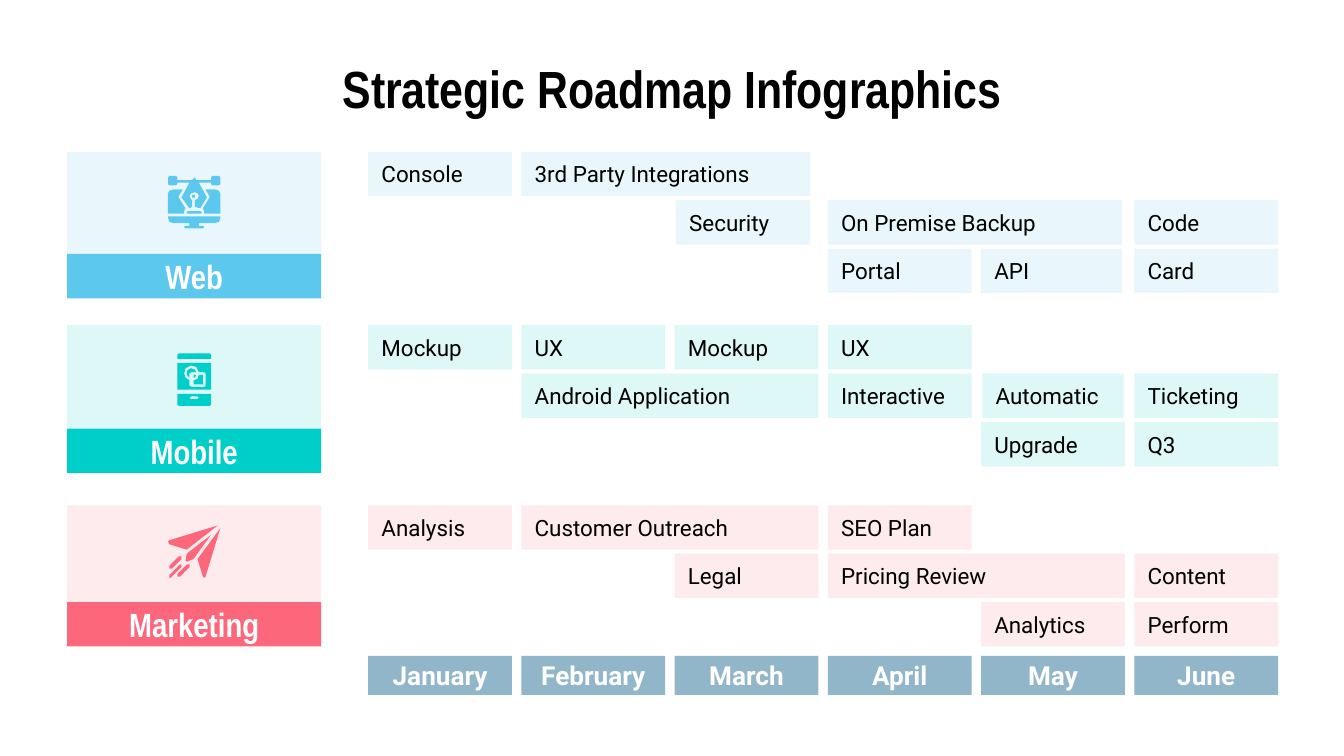
from lxml import etree
from pptx import Presentation
from pptx.dml.color import RGBColor
from pptx.enum import shapes, text
from pptx.oxml.ns import qn
from pptx.util import Inches, Pt

HUES = {"web": "5CC8EE", "mobile": "00CEC8", "market": "FD677B",
        "month": "92B6C9", "ink": "000000", "white": "FFFFFF"}
HEAD, BODY = "Arial Narrow", "Roboto"
TITLE = "Strategic Roadmap Infographics"
MONTHS = ["January", "February", "March", "April", "May", "June"]

# Tasks: label, row, first month, months covered, then trims at left and right
LANES = [
    {"name": "Web", "hue": "web", "top": 1.13, "panel": 0.76, "icon": 1.31, "tasks": [
        ("Console", 0, 0, 1), ("3rd Party Integrations", 0, 1, 2, 0, 0.06),
        ("Security", 1, 2, 1, 0.01, 0.06), ("On Premise Backup", 1, 3, 2, 0, 0.02),
        ("Code", 1, 5, 1), ("Portal", 2, 3, 1), ("API", 2, 4, 1, 0, 0.02),
        ("Card", 2, 5, 1)]},
    {"name": "Mobile", "hue": "mobile", "top": 2.42, "panel": 0.77, "icon": 2.63, "tasks": [
        ("Mockup", 0, 0, 1), ("UX", 0, 1, 1), ("Mockup", 0, 2, 1), ("UX", 0, 3, 1),
        ("Android Application", 1, 1, 2), ("Interactive", 1, 3, 1),
        ("Automatic", 1, 4, 1, 0.01, 0.01), ("Ticketing", 1, 5, 1),
        ("Upgrade", 2, 4, 1), ("Q3", 2, 5, 1)]},
    {"name": "Marketing", "hue": "market", "top": 3.76, "panel": 0.72, "icon": 3.91, "tasks": [
        ("Analysis", 0, 0, 1), ("Customer Outreach", 0, 1, 2), ("SEO Plan", 0, 3, 1),
        ("Legal", 1, 2, 1), ("Pricing Review", 1, 3, 2), ("Content", 1, 5, 1),
        ("Analytics", 2, 4, 1), ("Perform", 2, 5, 1)]},
]

SIZE = 39  # icon side, in hundredths of an inch


def flip(pts):
    return [(SIZE - x, y) for x, y in reversed(pts)]


def twin(half):
    """Close a left half with its mirror image."""
    return half + flip(half)


def shift(pts, dx, dy):
    return [(x + dx, y + dy) for x, y in pts]


pen = twin([(19.5, 1), (18, 3), (7, 3), (7, 1), (6, 0), (1, 0), (0, 1), (0, 6),
            (1, 7), (6, 7), (7, 6), (7, 5), (16, 5), (10, 15.5), (15.5, 23.5),
            (18.5, 23), (18.5, 18), (17, 17), (16, 15), (17, 13), (19.5, 12)])
nib = twin([(19.5, 14), (18.5, 14.5), (18.5, 15.5), (19.5, 16)])
collar = twin([(15, 26), (14, 27), (14, 28)])
screen = [(4, 10), (1, 11), (0, 13), (0, 28), (12, 28), (12, 26), (13, 24),
          (8, 16), (8, 15), (11, 10)]
stand = twin([(0, 30), (0, 31), (1, 34), (4, 35), (16, 35), (16, 37), (13, 37),
              (12, 38), (13, 39)])

ear = twin([(8, 0), (7, 1), (7, 4)])
glass = twin([(7, 7), (7, 27)])
cut = [(17, 9), (21, 10), (23, 14), (27, 14), (28, 15), (28, 24), (27, 25),
       (18, 25), (16, 24), (16, 20), (13, 18), (12, 15), (13, 11)]
disc = [(17, 11), (14, 13), (14, 16), (16, 18), (16, 15), (17, 14), (21, 14), (20, 12)]
lens = [(19, 16), (21, 16), (20.5, 17.5), (19, 18)]
tile = [(23, 16), (22, 19), (19, 20), (19, 23), (26, 23), (26, 16)]
foot = twin([(7, 30), (7, 38), (8, 39)])
key = twin([(17, 32), (16, 33), (17, 34)])

wing = [(37, 0), (1, 11), (0, 12), (1, 14), (14, 18)]
fold = [(32, 7), (14, 21), (13, 26), (14, 27), (19, 25)]
tail = [(39, 2), (22, 25), (26, 38), (27, 39), (28, 38)]
trail = [(9, 23), (8, 23), (1, 30), (1, 32), (3, 32), (10, 25), (10, 23)]
streak = [(9, 29), (1, 37), (1, 39), (2, 39), (10, 31), (10, 29)]

# Each icon part is a list of contours; a second contour is a hole
ICONS = {
    "web": [[pen], [nib], [collar], [screen], [flip(screen)], [stand]],
    "mobile": [[ear], [glass, cut], [disc], [lens], [tile], [foot, key]],
    "market": [[wing], [fold], [tail], [trail], [shift(trail, 6, 6)], [streak]],
}

SIDE, SIDE_W, ICON_X = 0.5, 1.89, 1.25
GRID, CELL, STEP = 2.74, 1.07, 1.14
ROW, BAR = 0.36, 0.33


def paint(shape, hue, alpha=None):
    shape.shadow.inherit = False
    shape.line.fill.background()
    shape.fill.solid()
    shape.fill.fore_color.rgb = RGBColor.from_string(HUES[hue])
    if alpha:
        tone = shape._element.spPr.find(qn("a:solidFill"))[0]
        etree.SubElement(tone, qn("a:alpha")).set("val", str(alpha * 1000))


def write(shape, words, size, font, hue, bold=True, align=text.PP_ALIGN.CENTER):
    frame = shape.text_frame
    frame.text = words
    frame.word_wrap = True
    frame.vertical_anchor = text.MSO_ANCHOR.MIDDLE
    frame.margin_left = frame.margin_right = Inches(0.1)
    frame.margin_top = frame.margin_bottom = Inches(0.1)
    para = frame.paragraphs[0]
    para.alignment = align
    style = para.runs[0].font
    style.size, style.name, style.bold = Pt(size), font, bold
    style.color.rgb = RGBColor.from_string(HUES[hue])


def block(x, y, w, h, hue, alpha=None):
    box = slide.shapes.add_shape(shapes.MSO_SHAPE.RECTANGLE,
                                 Inches(x), Inches(y), Inches(w), Inches(h))
    paint(box, hue, alpha)
    return box


def draw(hue, x, y):
    """Draw the icon of a lane as a group."""
    group = slide.shapes.add_group_shape()
    for first, *holes in ICONS[hue]:
        path = group.shapes.build_freeform(*first[0], scale=Inches(0.01))
        path.add_line_segments(first[1:])
        for hole in holes:
            path.move_to(*hole[0])
            path.add_line_segments(hole[1:])
        paint(path.convert_to_shape(Inches(x), Inches(y)), hue)


deck = Presentation()
deck.slide_width = Inches(10)
deck.slide_height = deck.slide_width * 9 // 16
slide = deck.slides.add_slide(deck.slide_layouts[6])

title = slide.shapes.add_textbox(Inches(0.5), Inches(0.45), Inches(9), Inches(0.41))
write(title, TITLE, 28, HEAD, "ink")

for col, month in enumerate(MONTHS):
    write(block(GRID + col * STEP, 4.88, CELL, 0.29, "month"), month, 14, BODY, "white")

for lane in LANES:
    hue, top, panel = lane["hue"], lane["top"], lane["panel"]
    block(SIDE, top, SIDE_W, panel, hue, 13)
    write(block(SIDE, top + panel, SIDE_W, BAR, hue), lane["name"], 18, HEAD, "white")
    draw(hue, ICON_X, lane["icon"])
    for label, row, col, span, *trim in lane["tasks"]:
        left, right = trim or (0, 0)
        wide = CELL + (span - 1) * STEP - left - right
        task = block(GRID + col * STEP + left, top + row * ROW, wide, BAR, hue, 13)
        write(task, label, 12, BODY, "ink", False, text.PP_ALIGN.LEFT)

deck.save("out.pptx")
